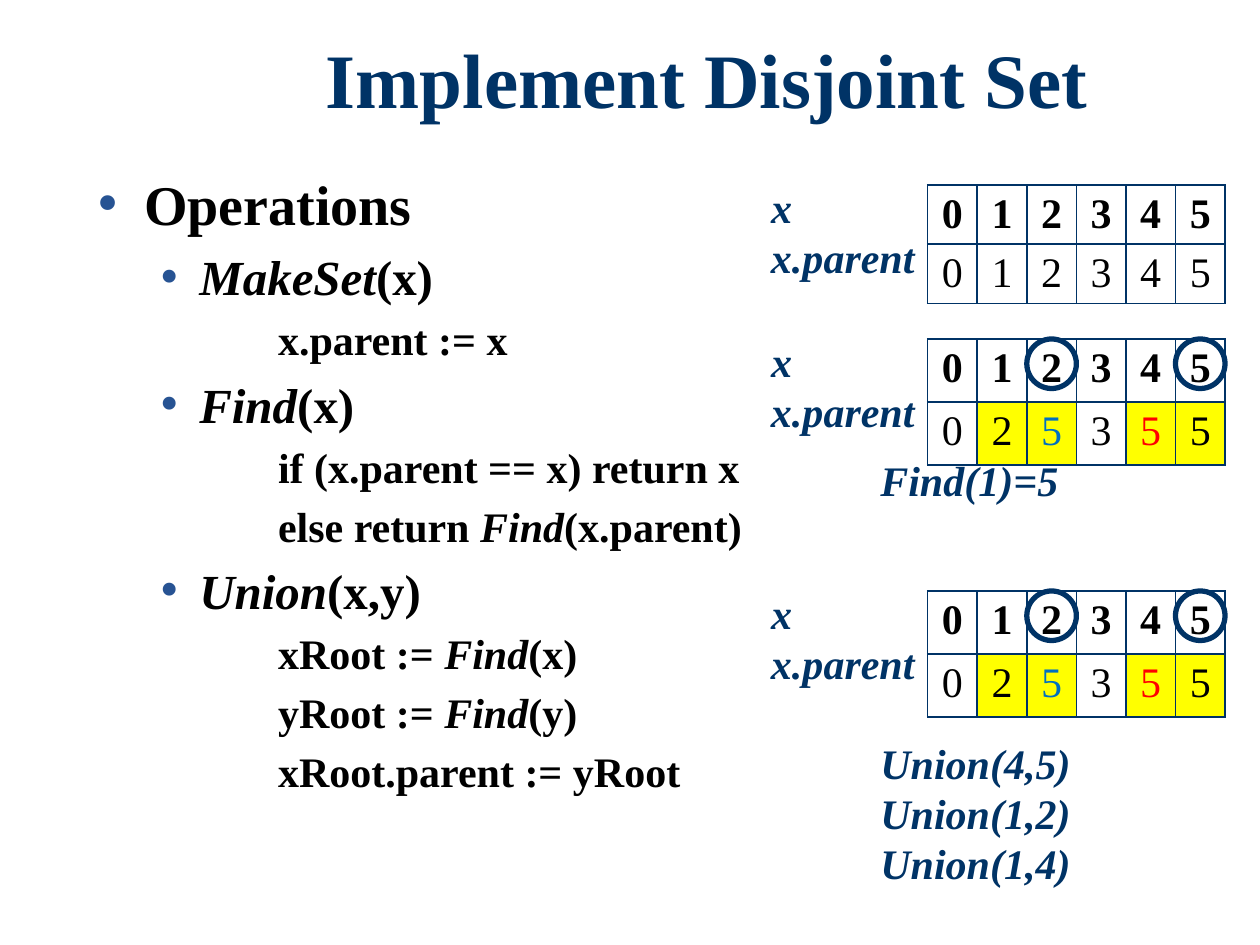
"""Draw the slide on disjoint-set operations and their parent tables."""
from lxml.etree import SubElement as Sub
from pptx import Presentation as Deck
from pptx.dml.color import RGBColor as Rgb
from pptx.enum.shapes import MSO_SHAPE as Kind
from pptx.enum.text import MSO_ANCHOR as Anchor, MSO_AUTO_SIZE as Fit, PP_ALIGN as Align
from pptx.oxml.ns import qn
from pptx.util import Pt

NAVY, BLACK, YELLOW = "003366", "000000", "FFFF00"
LEVELS = {0: (32, 27, -27), 1: (28, 58.5, -22.5), 3: (24, 103.5, 0)}
STEPS = [
    (0, "Operations"),
    (1, "*MakeSet*(x)"),
    (3, "x.parent := x"),
    (1, "*Find*(x)"),
    (3, "if (x.parent == x) return x"),
    (3, "else return *Find*(x.parent)"),
    (1, "*Union*(x,y)"),
    (3, "xRoot := *Find*(x)"),
    (3, "yRoot := *Find*(y)"),
    (3, "xRoot.parent := yRoot"),
]
MERGED = "025355"
TINTS = {1: BLACK, 2: "0070C0", 4: "FF0000", 5: BLACK}


def paint(code):
    return Rgb.from_string(code)


def write(para, text, size=24, color=NAVY, bold=True, slant=False, face="Times New Roman"):
    for i, part in enumerate(text.split("*")):
        if part:
            run = para.add_run()
            run.text = part
            font = run.font
            font.name, font.size, font.bold = face, Pt(size), bold
            font.italic = slant or i % 2 == 1
            font.color.rgb = paint(color)


class Page:
    """Hold the style and the current slide."""

    def __init__(self, deck):
        self.slide = deck.slides.add_slide(deck.slide_layouts[1])
        self.shapes = self.slide.shapes
        self.left, self.cell = 530.1, 28.32

    def place(self, shape, *box):
        shape.left, shape.top, shape.width, shape.height = map(Pt, box)
        frame = shape.text_frame
        frame.auto_size, frame.word_wrap = Fit.NONE, True
        return frame

    def title(self, text):
        frame = self.place(self.shapes.title, 116, 21, 576, 66)
        frame.vertical_anchor, frame.margin_bottom = Anchor.MIDDLE, Pt(16.2)
        para = frame.paragraphs[0]
        para.alignment, para.line_spacing = Align.CENTER, 0.9
        write(para, text, size=44)

    def body(self, steps):
        frame = self.place(self.slide.placeholders[1], 48.2, 93.3, 576, 397)
        frame.vertical_anchor = Anchor.TOP
        for i, (level, text) in enumerate(steps):
            para = frame.add_paragraph() if i else frame.paragraphs[0]
            size, left, hang = LEVELS[level]
            para.level = level
            if not i:
                para.space_before = Pt(0)
            self.bullet(para, left, hang)
            write(para, text, size=size, color=BLACK)

    def bullet(self, para, left, hang):
        prop = para._p.get_or_add_pPr()
        prop.set("marL", str(Pt(left)))
        prop.set("indent", str(Pt(hang)))
        if hang:
            Sub(Sub(prop, qn("a:buClr")), qn("a:srgbClr"), val="275393")
            Sub(prop, qn("a:buSzPct"), val="110000")
            Sub(prop, qn("a:buFont"), typeface="Times New Roman")
            Sub(prop, qn("a:buChar"), char="•")
        else:
            Sub(prop, qn("a:buNone"))

    def label(self, left, top, width, *lines):
        box = self.shapes.add_textbox(Pt(left), Pt(top), Pt(width), Pt(7.2 + 29 * len(lines)))
        frame = box.text_frame
        frame.word_wrap, frame.auto_size = False, Fit.SHAPE_TO_FIT_TEXT
        for i, line in enumerate(lines):
            para = frame.add_paragraph() if i else frame.paragraphs[0]
            write(para, line, slant=True)

    def border(self, cell):
        prop = cell._tc.get_or_add_tcPr()
        for side in "LRTB":
            line = Sub(prop, qn("a:ln" + side), w=str(Pt(1)))
            Sub(Sub(line, qn("a:solidFill")), qn("a:srgbClr"), val=NAVY)

    def table(self, top, parents, tints):
        rows = ["012345", parents]
        grid = self.shapes.add_table(2, 6, Pt(self.left), Pt(top), Pt(6 * self.cell), Pt(58.4)).table
        grid.first_row = grid.horz_banding = False
        for col in grid.columns:
            col.width = Pt(self.cell)
        for r, row in enumerate(rows):
            for c, digit in enumerate(row):
                cell = grid.cell(r, c)
                self.border(cell)
                tint = tints.get(c) if r else None
                if tint:
                    cell.fill.solid()
                    cell.fill.fore_color.rgb = paint(YELLOW)
                else:
                    cell.fill.background()
                para = cell.text_frame.paragraphs[0]
                para.alignment = Align.CENTER
                write(para, digit, color=tint or BLACK, bold=not r)

    def ring(self, col, top):
        size = Pt(self.cell)
        ring = self.shapes.add_shape(Kind.OVAL, Pt(self.left + col * self.cell), Pt(top), size, size)
        ring.shadow.inherit = False
        ring.fill.background()
        ring.line.color.rgb, ring.line.width = paint(NAVY), Pt(3)

    def forest(self, top, parents, tints={}, rings=()):
        self.table(top, parents, tints)
        self.label(433.5, top - 5.4, 27, "x")
        self.label(433.5, top + 22.8, 97, "x.parent")
        for col in rings:
            self.ring(col, top)


def main():
    deck = Deck()
    deck.slide_width, deck.slide_height = Pt(720), Pt(540)
    page = Page(deck)
    page.title("Implement Disjoint Set")
    page.body(STEPS)
    page.forest(105.8, "012345")
    for top in (337.7, 193.7):
        page.forest(top, MERGED, TINTS, (2, 5))
    page.label(496, 417.6, 124.5, "Union(4,5)", "Union(1,2)", "Union(1,4)")
    page.label(496, 256.3, 117, "Find(1)=5")
    deck.save("out.pptx")


if __name__ == "__main__":
    main()
